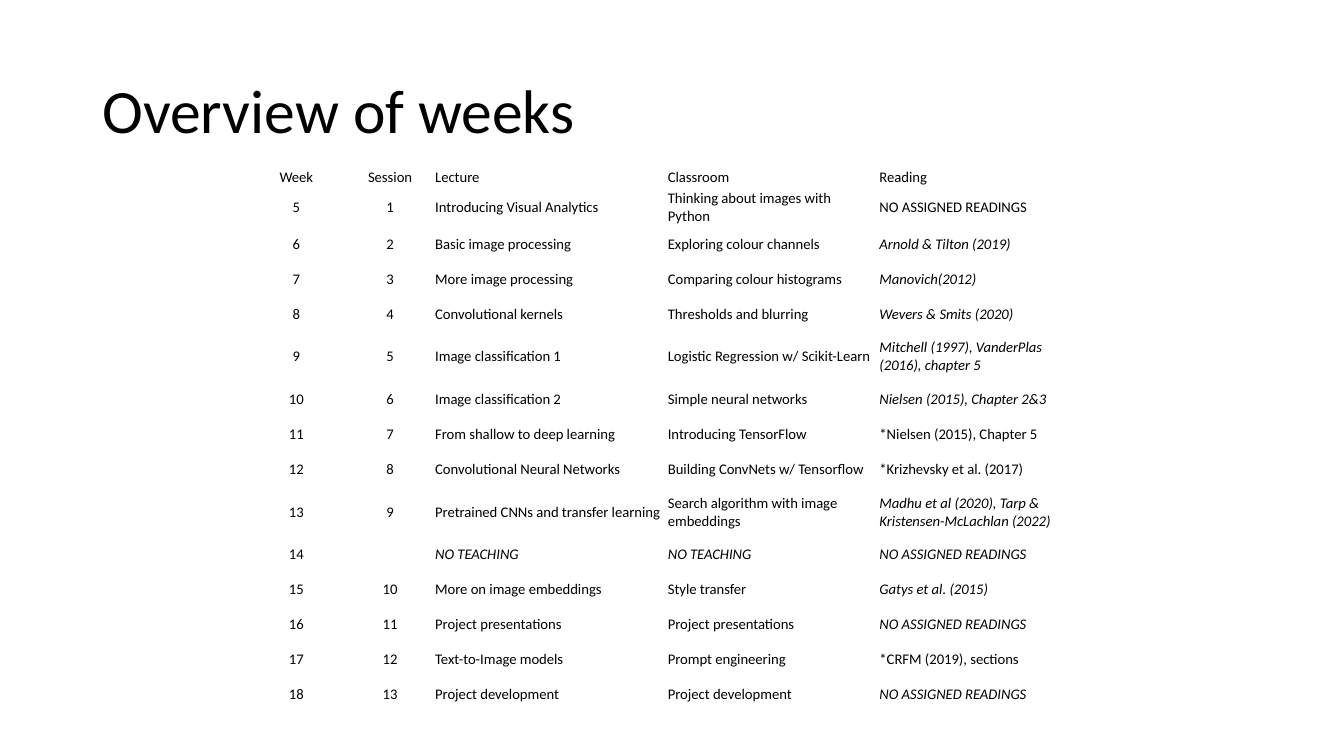
from dataclasses import dataclass

from pptx import Presentation
from pptx.dml.color import RGBColor
from pptx.enum.text import MSO_ANCHOR, PP_ALIGN
from pptx.util import Pt

LEFT, CENTER = PP_ALIGN.LEFT, PP_ALIGN.CENTER
MIDDLE = MSO_ANCHOR.MIDDLE
BLANK_LAYOUT = 6


@dataclass(frozen=True)
class Theme:
    """Colours, font and type sizes of the slide."""
    ink: RGBColor = RGBColor(0, 0, 0)
    font: str = "Calibri"
    title_size: float = 44
    cell_size: float = 10.5


THEME = Theme()

# Cells that start with this mark are set in italics.
ITALIC_MARK = "_"

COLUMNS = [  # heading, width, alignment
    ("Week", 75, CENTER),
    ("Session", 59, CENTER),
    ("Lecture", 166.2, LEFT),
    ("Classroom", 151.2, LEFT),
    ("Reading", 131.8, LEFT),
]
HEADING_HEIGHT, WEEK_HEIGHT, TALL_WEEK_HEIGHT = 14.4, 25, 36
TALL_WEEKS = {"9", "13"}
CELL_INSET_X, CELL_INSET_Y = 2.7, 1.35

WEEKS = [
    ("5", "1", "Introducing Visual Analytics", "Thinking about images with Python",
     "NO ASSIGNED READINGS"),
    ("6", "2", "Basic image processing", "Exploring colour channels",
     "_Arnold & Tilton (2019)"),
    ("7", "3", "More image processing", "Comparing colour histograms",
     "_Manovich(2012)"),
    ("8", "4", "Convolutional kernels", "Thresholds and blurring",
     "_Wevers & Smits (2020)"),
    ("9", "5", "Image classification 1", "Logistic Regression w/ Scikit-Learn",
     "_Mitchell (1997), VanderPlas (2016), chapter 5"),
    ("10", "6", "Image classification 2", "Simple neural networks",
     "_Nielsen (2015), Chapter 2&3"),
    ("11", "7", "From shallow to deep learning", "Introducing TensorFlow",
     "*Nielsen (2015), Chapter 5"),
    ("12", "8", "Convolutional Neural Networks", "Building ConvNets w/ Tensorflow",
     "*Krizhevsky et al. (2017)"),
    ("13", "9", "Pretrained CNNs and transfer learning",
     "Search algorithm with image embeddings",
     "_Madhu et al (2020), Tarp & Kristensen-McLachlan (2022)"),
    ("14", "", "_NO TEACHING", "_NO TEACHING", "_NO ASSIGNED READINGS"),
    ("15", "10", "More on image embeddings", "Style transfer",
     "_Gatys et al. (2015)"),
    ("16", "11", "Project presentations", "Project presentations",
     "_NO ASSIGNED READINGS"),
    ("17", "12", "Text-to-Image models", "Prompt engineering",
     "*CRFM (2019), sections"),
    ("18", "13", "Project development", "Project development",
     "_NO ASSIGNED READINGS"),
]


def write(frame, text, *, size, align=LEFT, italic=False, line_spacing=None):
    """Put one formatted paragraph into a text frame."""
    paragraph = frame.paragraphs[0]
    paragraph.alignment = align
    paragraph.line_spacing = line_spacing
    paragraph.font.size = Pt(size)
    if not text:
        return
    run = paragraph.add_run()
    run.text = text
    run.font.name = THEME.font
    run.font.size = Pt(size)
    run.font.bold = False
    run.font.italic = italic
    run.font.color.rgb = THEME.ink


def add_title(slide, text, left, top, width, height):
    """Add the slide title, centred vertically in its box."""
    title = slide.shapes.add_textbox(Pt(left), Pt(top), Pt(width), Pt(height))
    title.text_frame.word_wrap = True
    title.text_frame.vertical_anchor = MIDDLE
    write(title.text_frame, text, size=THEME.title_size, line_spacing=0.9)


def fill_cell(cell, text, align):
    """Format one schedule cell and write its text."""
    cell.fill.background()
    cell.vertical_anchor = MIDDLE
    cell.margin_left = cell.margin_right = Pt(CELL_INSET_X)
    cell.margin_top = cell.margin_bottom = Pt(CELL_INSET_Y)
    write(cell.text_frame, text.removeprefix(ITALIC_MARK), size=THEME.cell_size,
          align=align, italic=text.startswith(ITALIC_MARK))


def add_schedule(slide, weeks, left, top, width, height):
    """Add the table of weeks under a heading row."""
    headings = tuple(heading for heading, _, _ in COLUMNS)
    entries = [headings, *weeks]
    schedule = slide.shapes.add_table(
        len(entries), len(COLUMNS), Pt(left), Pt(top), Pt(width), Pt(height)).table
    schedule.horz_banding = False

    for column, (_, column_width, _) in zip(schedule.columns, COLUMNS):
        column.width = Pt(column_width)
    for row, entry in zip(schedule.rows, entries):
        if entry is headings:
            row.height = Pt(HEADING_HEIGHT)
        else:
            tall = entry[0] in TALL_WEEKS
            row.height = Pt(TALL_WEEK_HEIGHT if tall else WEEK_HEIGHT)
        for cell, text, (_, _, align) in zip(row.cells, entry, COLUMNS):
            fill_cell(cell, text, align)


def main():
    """Build and save the slide."""
    deck = Presentation()
    deck.slide_width, deck.slide_height = Pt(960), Pt(540)
    slide = deck.slides.add_slide(deck.slide_layouts[BLANK_LAYOUT])
    add_title(slide, "Overview of weeks", 66, 28.8, 828, 104.4)
    add_schedule(slide, WEEKS, 174.2, 118.8, 583.2, 390)
    deck.save("out.pptx")


main()
